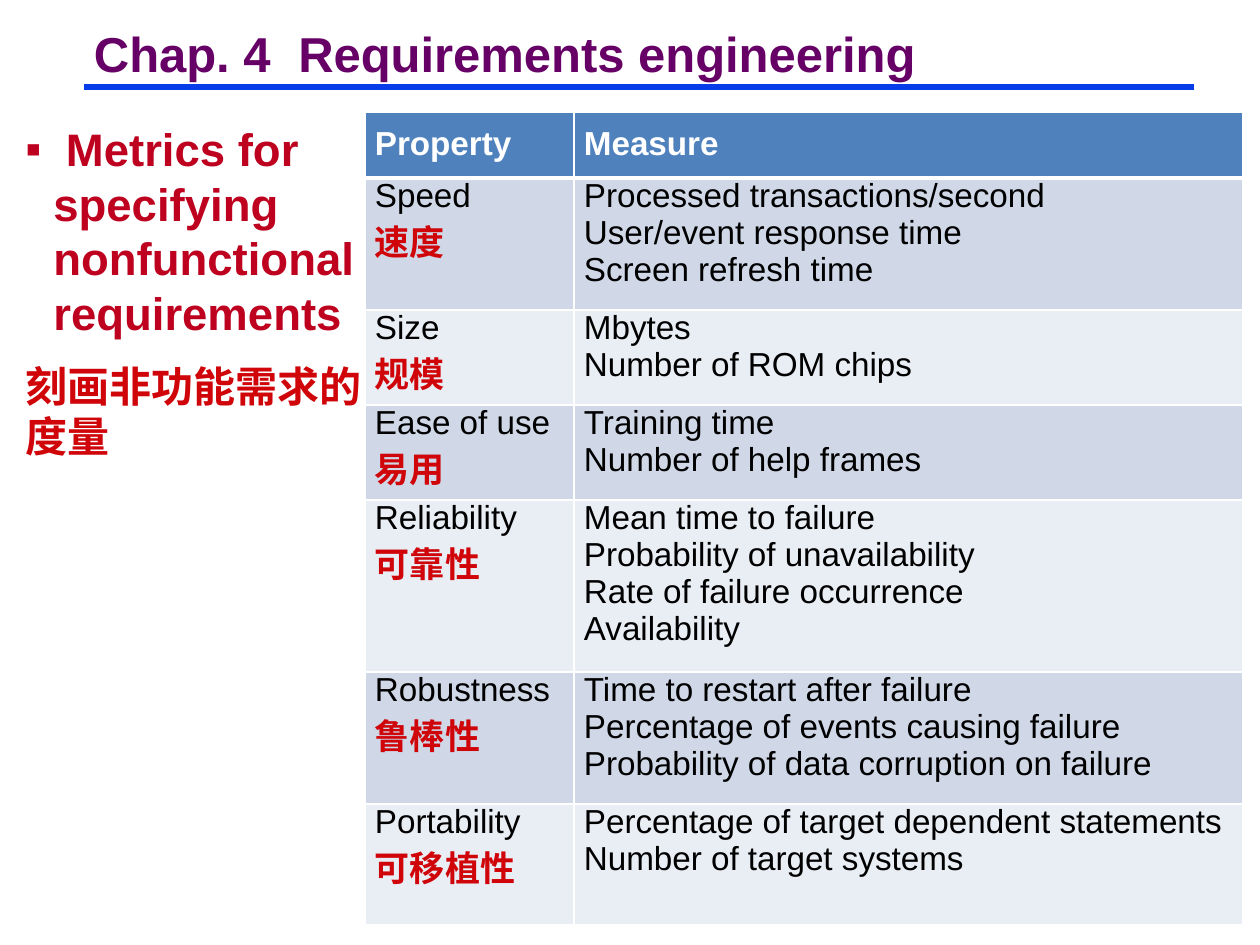
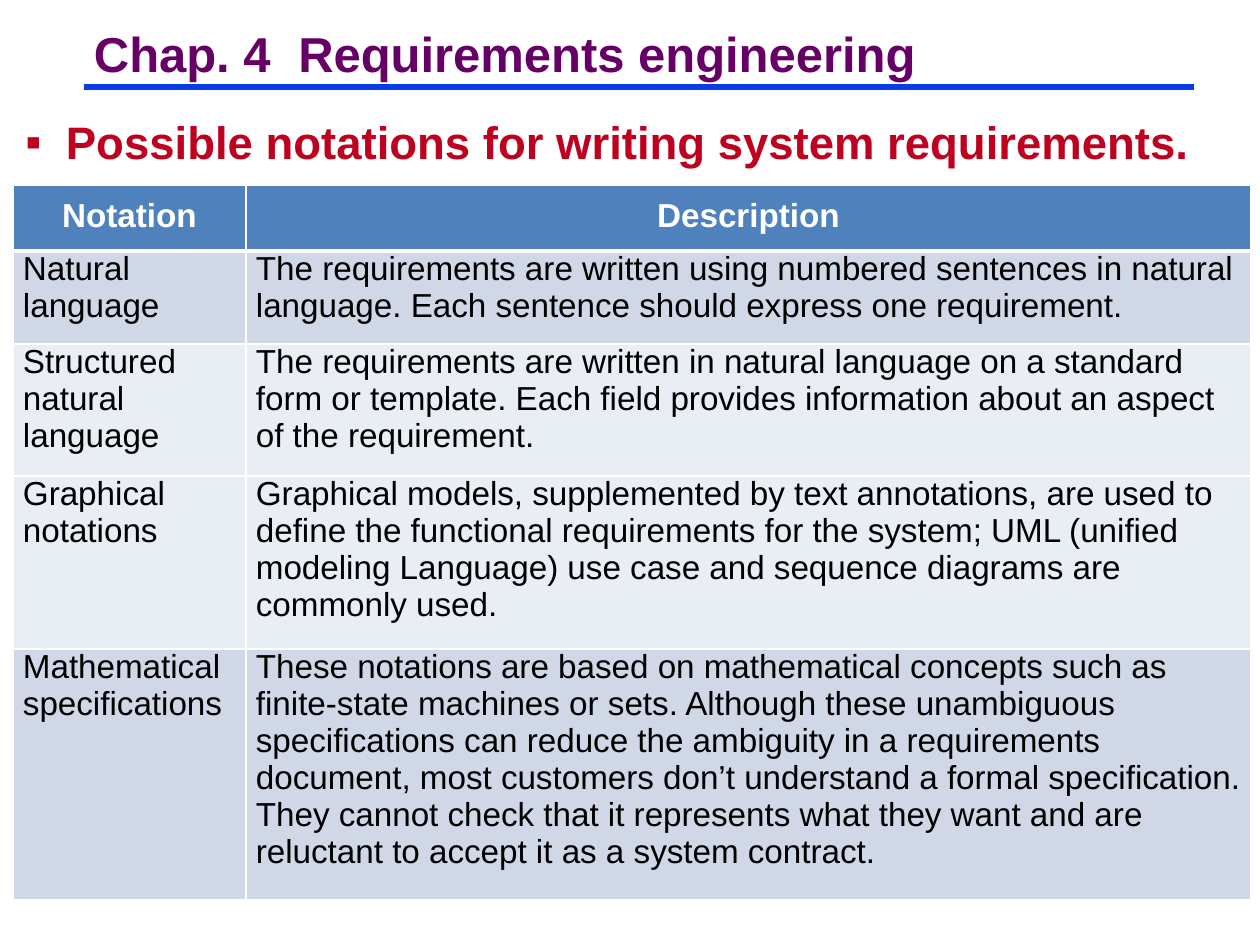
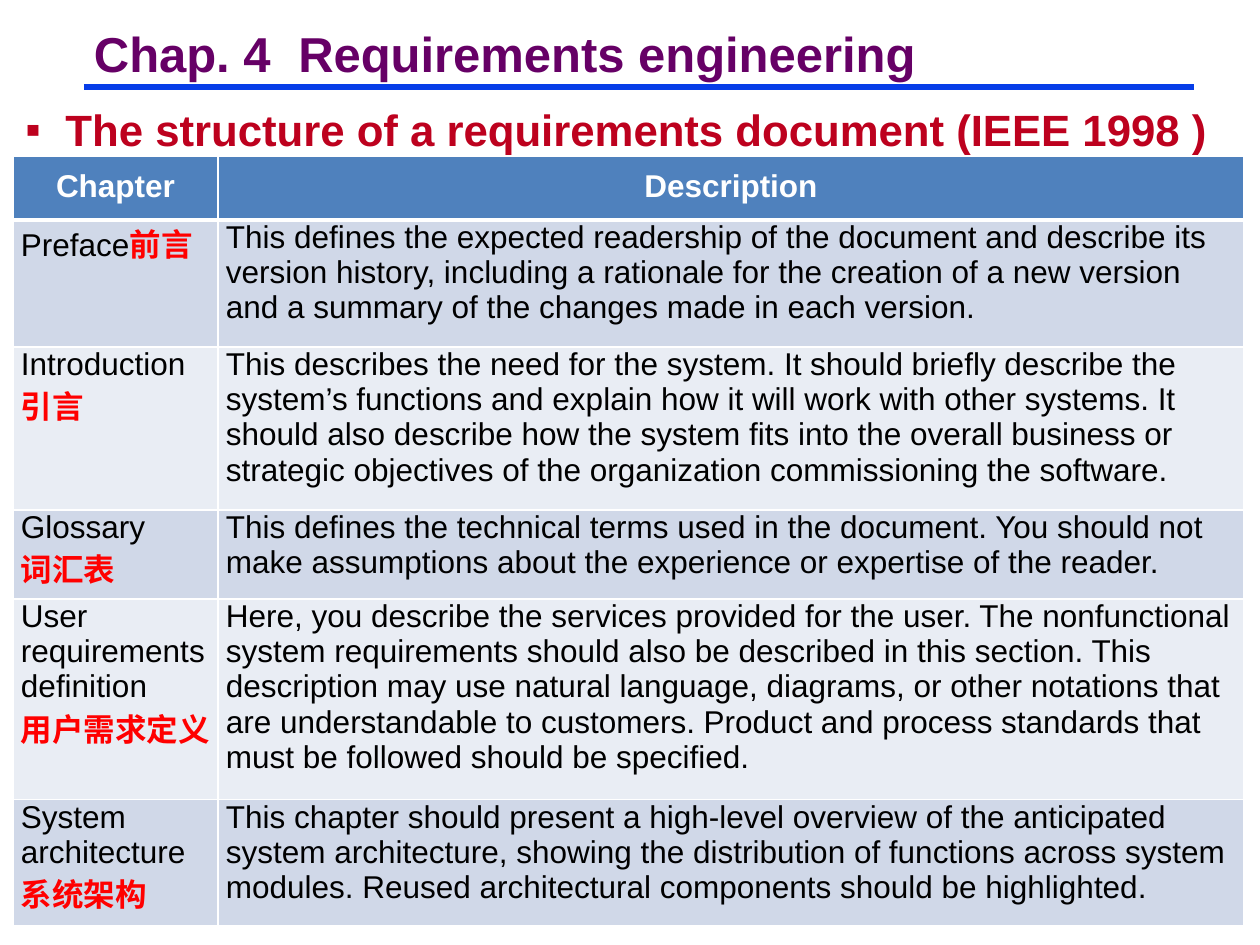
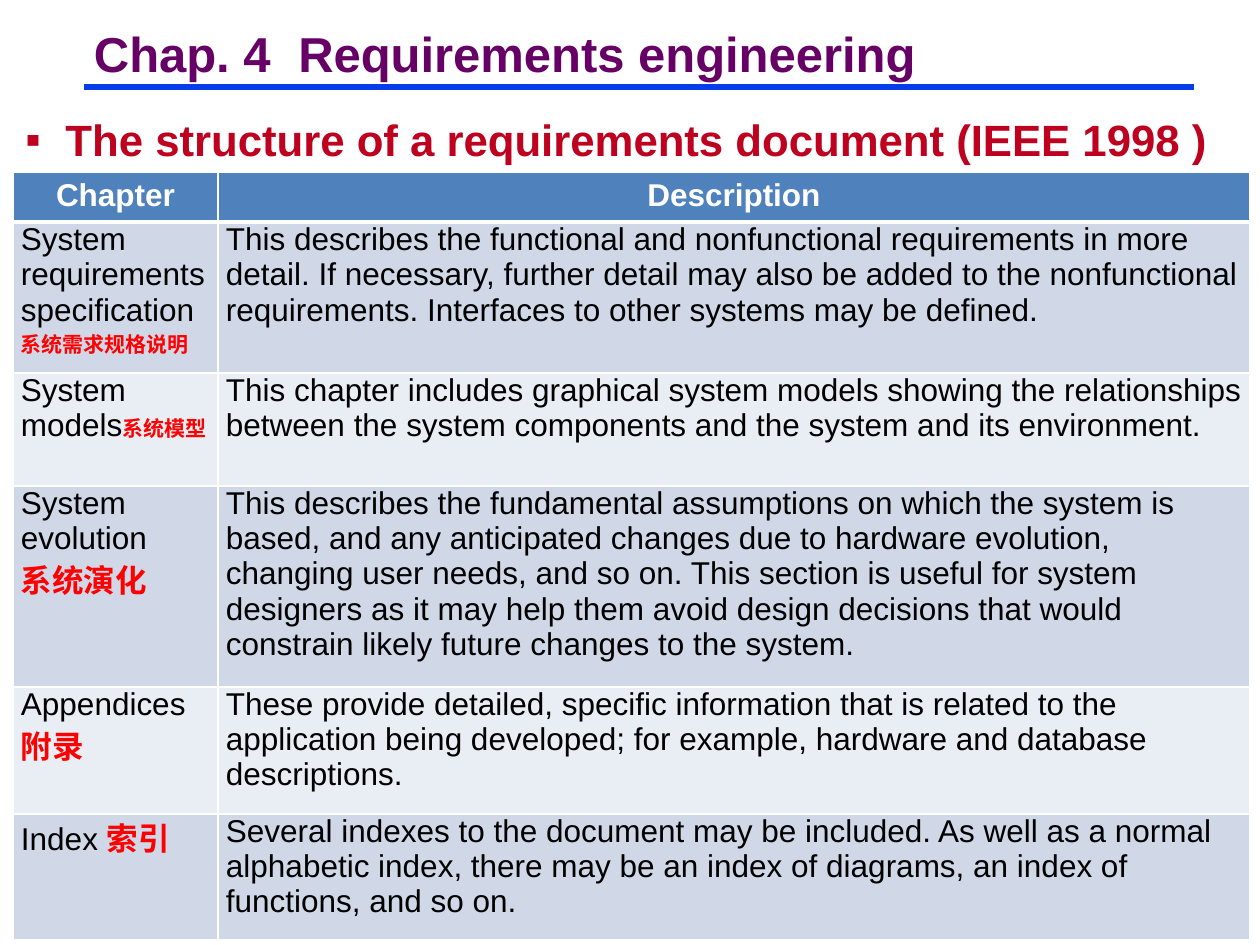
from lxml.etree import SubElement
from pptx import Presentation
from pptx.dml.color import RGBColor
from pptx.enum.shapes import MSO_CONNECTOR as Connector
from pptx.enum.text import MSO_ANCHOR as Anchor, MSO_AUTO_SIZE as AutoSize, PP_ALIGN as Align
from pptx.oxml.ns import qn
from pptx.util import Emu, Pt

PX = 914400 / 126
LATIN, CHINESE = "Arial", "Noto Sans CJK SC"
PURPLE, BLUE, CRIMSON, RED, BRIGHT_RED = "660066", "063DE8", "BD011E", "CF050A", "FF0000"
WHITE, BLACK, HEADER, DARK, LIGHT = "FFFFFF", "000000", "4F81BD", "D0D8E8", "E9EDF4"
TITLE = ("Chap. 4", " ", "Requirements engineering")
TITLE_GAP = 8  # points added to the space after the chapter number

# A cell is a list of paragraphs, a paragraph a tuple of runs,
# and a run either a string or a (string, size) pair.
SLIDES = [
    {
        "heading": " Metrics for specifying nonfunctional requirements",
        "translation": "刻画非功能需求的度量",
        "heading_size": 26,
        "heading_box": (13, 115, 365, 577),
        "table_at": (365, 112),
        "columns": (209, 669),
        "row_heights": (65, 132, 95, 95, 172, 132, 121),
        "fills": (DARK, LIGHT) * 3,
        "size": 19,
        "chinese": (20, RED),
        "side_inset": 10,
        "header_inset": 13,
        "header_align": Align.LEFT,
        "header": ("Property", "Measure"),
        "rows": [
            ([("Speed",), ("速度",)],
             [("Processed transactions/second",), ("User/event response time",),
              ("Screen refresh time",)]),
            ([("Size",), ("规模",)],
             [("Mbytes",), ("Number of ROM chips",)]),
            ([("Ease of use",), ("易用",)],
             [("Training time",), ("Number of help frames",)]),
            ([("Reliability",), ("可靠性",)],
             [("Mean time to failure",), ("Probability of unavailability",),
              ("Rate of failure occurrence",), ("Availability",)]),
            ([("Robustness",), ("鲁棒性",)],
             [("Time to restart after failure",), ("Percentage of events causing failure",),
              ("Probability of data corruption on failure",)]),
            ([("Portability",), ("可移植性",)],
             [("Percentage of target dependent statements",), ("Number of target systems",)]),
        ],
    },
    {
        "heading": " Possible notations for writing system requirements.",
        "heading_size": 26,
        "heading_box": (13, 108, 1237, 77),
        "table_at": (13, 185),
        "columns": (233, 1005),
        "row_heights": (63, 93, 132, 173, 251),
        "fills": (DARK, LIGHT, LIGHT, DARK),
        "size": 19,
        "side_inset": 10,
        "header_inset": 13,
        "header_align": Align.CENTER,
        "header": ("Notation", "Description"),
        "rows": [
            ([("Natural language",)],
             [("The requirements are written using numbered sentences in natural language. "
               "Each sentence should express one requirement.",)]),
            ([("Structured natural language",)],
             [("The requirements are written in natural language on a standard form or template. "
               "Each field provides information about an aspect of the requirement.",)]),
            ([("Graphical notations",)],
             [("Graphical models, supplemented by text annotations, are used to define the "
               "functional requirements for the system; UML (unified modeling Language) use case "
               "and sequence diagrams are commonly used.",)]),
            ([("Mathematical specifications",)],
             [("These notations are based on mathematical concepts such as finite-state machines "
               "or sets. Although these unambiguous specifications can reduce the ambiguity in a "
               "requirements document, most customers don’t understand a formal specification. "
               "They cannot check that it represents what they want and are reluctant to accept "
               "it as a system contract.",)]),
        ],
    },
    {
        "heading": " The structure of a requirements document (IEEE 1998 )",
        "heading_size": 25,
        "heading_box": (13, 97, 1237, 81),
        "table_at": (13, 156),
        "columns": (205, 1026),
        "row_heights": (62, 127, 163, 89, 201, 126),
        "fills": (DARK, LIGHT, DARK, LIGHT, DARK),
        "size": 18,
        "chinese": (18, BRIGHT_RED),
        "side_inset": 8,
        "header_inset": 13,
        "header_align": Align.CENTER,
        "header": ("Chapter", "Description"),
        "rows": [
            ([("Preface", "前言")],
             [("This defines the expected readership of the document and describe its version "
               "history, including a rationale for the creation of a new version and a summary "
               "of the changes made in each version.",)]),
            ([("Introduction",), ("引言",)],
             [("This describes the need for the system. It should briefly describe the system’s "
               "functions and explain how it will work with other systems. It should also "
               "describe how the system fits into the overall business or strategic objectives "
               "of the organization commissioning the software.",)]),
            ([("Glossary",), ("词汇表",)],
             [("This defines the technical terms used in the document. You should not make "
               "assumptions about the experience or expertise of the reader.",)]),
            ([("User requirements definition",), ("用户需求定义",)],
             [("Here, you describe the services provided for the user. The nonfunctional system "
               "requirements should also be described in this section. This description may use "
               "natural language, diagrams, or other notations that are understandable to "
               "customers. Product and process standards that must be followed should be "
               "specified.",)]),
            ([("System architecture",), ("系统架构",)],
             [("This chapter should present a high-level overview of the anticipated system "
               "architecture, showing the distribution of functions across system modules. "
               "Reused architectural components should be highlighted.",)]),
        ],
    },
    {
        "heading": " The structure of a requirements document (IEEE 1998 )",
        "heading_size": 25,
        "heading_box": (13, 107, 1237, 55),
        "table_at": (13, 172),
        "columns": (205, 1032),
        "row_heights": (50, 151, 113, 201, 127, 126),
        "fills": (DARK, LIGHT, DARK, LIGHT, DARK),
        "size": 18,
        "chinese": (18, BRIGHT_RED),
        "side_inset": 8,
        "header_inset": 6,
        "header_align": Align.CENTER,
        "header": ("Chapter", "Description"),
        "rows": [
            ([("System requirements specification",), (("系统需求规格说明", 12),)],
             [("This describes the functional and nonfunctional requirements in more detail. If "
               "necessary, further detail may also be added to the nonfunctional requirements. "
               "Interfaces to other systems may be defined.",)]),
            ([("System models", ("系统模型", 12))],
             [("This chapter includes graphical system models showing the relationships between "
               "the system components and the system and its environment.",)]),
            ([("System evolution",), ("系统演化",)],
             [("This describes the fundamental assumptions on which the system is based, and any "
               "anticipated changes due to hardware evolution, changing user needs, and so on. "
               "This section is useful for system designers as it may help them avoid design "
               "decisions that would constrain likely future changes to the system.",)]),
            ([("Appendices",), ("附录",)],
             [("These provide detailed, specific information that is related to the application "
               "being developed; for example, hardware and database descriptions.",)]),
            ([("Index ", "索引")],
             [("Several indexes to the document may be included. As well as a normal alphabetic "
               "index, there may be an index of diagrams, an index of functions, and so on.",)]),
        ],
    },
]


def px(length):
    return Emu(round(length * PX))


def color(hex_string):
    return RGBColor.from_string(hex_string)


def is_chinese(text):
    return text[0] >= "一"


def add_run(paragraph, text, size, hex_string, bold):
    run = paragraph.add_run()
    run.text = text
    font = run.font
    font.size, font.bold = Pt(size), bold
    font.color.rgb = color(hex_string)
    font.name = CHINESE if is_chinese(text) else LATIN
    if is_chinese(text):
        SubElement(run.font._element, qn("a:ea"), typeface=CHINESE)
    return run


def set_insets(target, left, top, right, bottom):
    target.margin_left, target.margin_top = px(left), px(top)
    target.margin_right, target.margin_bottom = px(right), px(bottom)


def place(shape, left, top, width, height):
    shape.left, shape.top, shape.width, shape.height = map(px, (left, top, width, height))


def add_rule(slide, layout):
    """Put the line under the title on the layout that all slides share."""
    rule = slide.shapes.add_connector(Connector.STRAIGHT, px(84), px(87), px(1194), px(87))
    rule.line.color.rgb, rule.line.width = color(BLUE), Pt(3.75)
    SubElement(rule.element.spPr, qn("a:effectLst"))
    layout.shapes.element.append(rule.element)


def fill_title(title):
    place(title, 85, 28, 880, 58)
    frame = title.text_frame
    frame.word_wrap, frame.auto_size = True, AutoSize.NONE
    frame.vertical_anchor = Anchor.MIDDLE
    set_insets(frame, 9, 4, 9, 4)
    paragraph = frame.paragraphs[0]
    paragraph.alignment, paragraph.line_spacing = Align.LEFT, 0.87
    for text in TITLE:
        run = add_run(paragraph, text, 28, PURPLE, True)
        if text == " ":
            run.font._element.set("spc", str(TITLE_GAP * 100))


def add_heading(slide, content):
    box = slide.shapes.add_textbox(*map(px, content["heading_box"]))
    frame = box.text_frame
    frame.word_wrap = True
    paragraph = frame.paragraphs[0]
    properties = paragraph._p.get_or_add_pPr()
    properties.set("marL", str(px(28)))
    properties.set("indent", str(-px(28)))
    SubElement(properties, qn("a:buFont"), typeface=LATIN)
    SubElement(properties, qn("a:buChar"), char="▪")
    add_run(paragraph, content["heading"], content["heading_size"], CRIMSON, True)
    if "translation" in content:
        paragraph = frame.add_paragraph()
        paragraph.space_before = Pt(12)
        add_run(paragraph, content["translation"], 24, RED, True)


def set_borders(cell, top, bottom):
    properties = cell._tc.get_or_add_tcPr()
    widths = {"lnL": 1, "lnR": 1, "lnT": top, "lnB": bottom}
    for position, (tag, width) in enumerate(widths.items()):
        line = properties.makeelement(qn(f"a:{tag}"), {"w": str(Pt(width))})
        SubElement(SubElement(line, qn("a:solidFill")), qn("a:srgbClr"), val=WHITE)
        properties.insert(position, line)


def fill_cell(cell, paragraphs, content, row, fill):
    is_header = row == 0
    cell.fill.solid()
    cell.fill.fore_color.rgb = color(fill)
    side, edge = content["side_inset"], content["header_inset"]
    set_insets(cell, side, edge if is_header else 0, side, edge if is_header else 5)
    set_borders(cell, 3 if row == 1 else 1, 3 if is_header else 1)
    for index, runs in enumerate(paragraphs):
        frame = cell.text_frame
        paragraph = frame.add_paragraph() if index else frame.paragraphs[0]
        paragraph.alignment = content["header_align"] if is_header else Align.LEFT
        for run in runs:
            text, own_size = (run, None) if isinstance(run, str) else run
            if is_chinese(text):
                size, hex_string = content["chinese"]
                add_run(paragraph, text, own_size or size, hex_string, True)
            else:
                add_run(paragraph, text, content["size"], WHITE if is_header else BLACK, is_header)


def add_property_table(slide, content):
    columns, heights = content["columns"], content["row_heights"]
    left, top = content["table_at"]
    table = slide.shapes.add_table(len(heights), len(columns), px(left), px(top),
                                   px(sum(columns)), px(sum(heights))).table
    table.horz_banding = False
    for column, width in zip(table.columns, columns):
        column.width = px(width)
    rows = [[[(name,)] for name in content["header"]], *content["rows"]]
    fills = (HEADER, *content["fills"])
    for row, (cells, height, fill) in enumerate(zip(rows, heights, fills)):
        table.rows[row].height = px(height)
        for column, paragraphs in enumerate(cells):
            fill_cell(table.cell(row, column), paragraphs, content, row, fill)


def main():
    presentation = Presentation()
    presentation.slide_width, presentation.slide_height = px(1260), px(945)
    layout = presentation.slide_layouts.get_by_name("Title Only")
    for number, content in enumerate(SLIDES):
        slide = presentation.slides.add_slide(layout)
        if number == 0:
            add_rule(slide, layout)
        fill_title(slide.shapes.title)
        add_heading(slide, content)
        add_property_table(slide, content)
    presentation.save("out.pptx")


if __name__ == "__main__":
    main()
